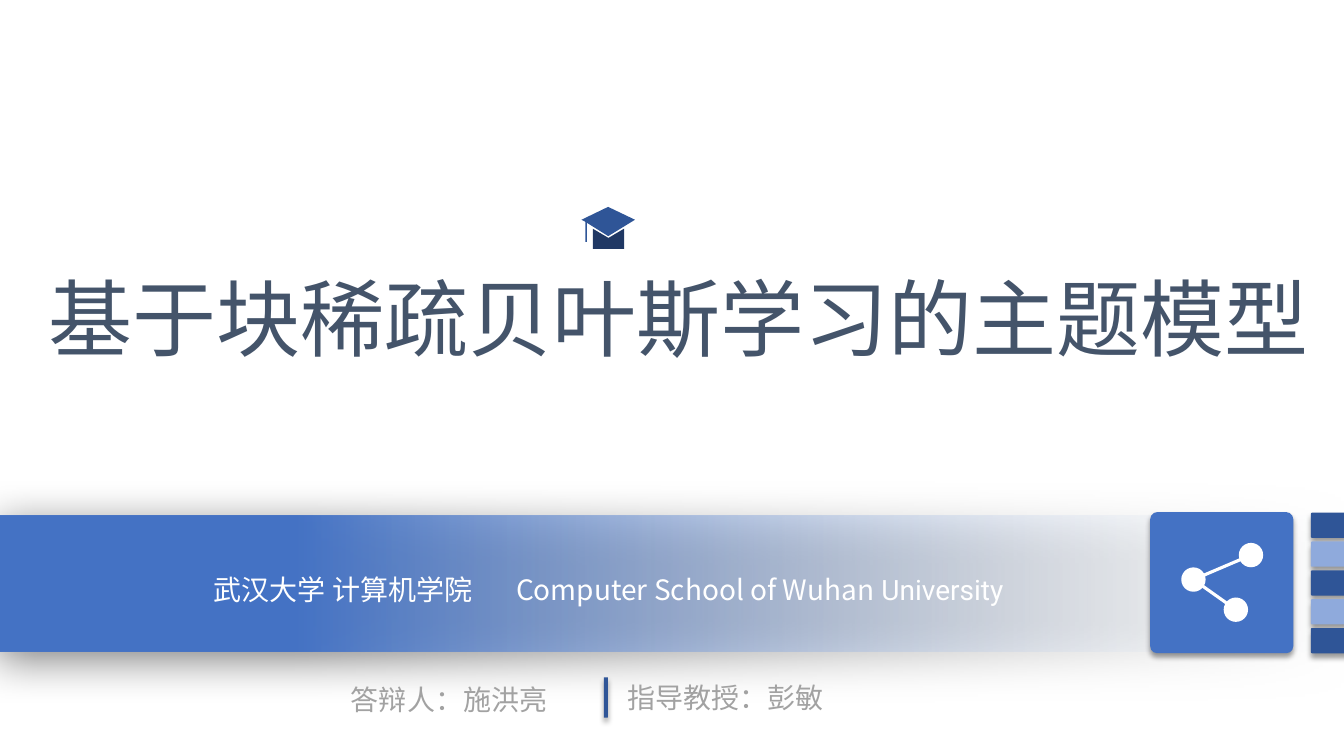
from dataclasses import dataclass

from lxml.etree import SubElement
from pptx import Presentation
from pptx.dml.color import RGBColor
from pptx.enum.shapes import MSO_CONNECTOR, MSO_SHAPE
from pptx.enum.text import MSO_ANCHOR, MSO_AUTO_SIZE, PP_ALIGN
from pptx.oxml.ns import qn
from pptx.util import Pt


@dataclass(frozen=True)
class Theme:
    """Colours, fonts and type sizes of the slide."""
    blue: str = "4472C4"
    dark_blue: str = "2F5597"
    light_blue: str = "8FAADC"
    navy: str = "203864"
    pale: str = "F7FAFD"
    slate: str = "44546A"
    grey: str = "A2A2A2"
    white: str = "FFFFFF"
    black: str = "000000"
    font: str = "Noto Sans CJK SC"
    latin_font: str = "Roboto"
    title_size: int = 60
    text_size: int = 20


THEME = Theme()
SOFT_SHADOW = {"alpha": 40, "blur": 4, "distance": 3, "angle": 90}
WIDE_SHADOW = {"alpha": 50, "blur": 31, "distance": 6, "angle": 97}


def set_attributes(target, values):
    """Set each named attribute of the target."""
    for name, value in values.items():
        setattr(target, name, value)


def place(shape, left, top, width, height):
    """Move and size a shape in points."""
    set_attributes(shape, {"left": Pt(left), "top": Pt(top),
                           "width": Pt(width), "height": Pt(height)})


def paint(shape, color):
    """Give a shape a plain fill without line or shadow."""
    shape.fill.solid()
    shape.fill.fore_color.rgb = RGBColor.from_string(color)
    shape.line.fill.background()
    shape.shadow.inherit = False


def add_shadow(shape, alpha, blur, distance, angle):
    """Add a black outer shadow to a shape."""
    effects = shape.element.spPr.find(qn("a:effectLst"))
    shadow = SubElement(effects, qn("a:outerShdw"), blurRad=str(Pt(blur)),
                        dist=str(Pt(distance)), dir=str(angle * 60000),
                        algn="t", rotWithShape="0")
    color = SubElement(shadow, qn("a:srgbClr"), val=THEME.black)
    SubElement(color, qn("a:alpha"), val=str(alpha * 1000))


def add_preset(slide, kind, box, color, shadow=None):
    """Add a filled preset shape."""
    shape = slide.shapes.add_shape(kind, *map(Pt, box))
    paint(shape, color)
    if kind == MSO_SHAPE.ROUNDED_RECTANGLE:
        shape.adjustments[0] = 0.05
    if shadow:
        add_shadow(shape, **shadow)
    return shape


def add_outline(slide, points, color):
    """Add a filled polygon through points given in points."""
    corners = [(Pt(x), Pt(y)) for x, y in points]
    builder = slide.shapes.build_freeform(*corners[0], scale=1.0)
    builder.add_line_segments(corners[1:], close=True)
    paint(builder.convert_to_shape(), color)


def write(shape, runs, size, color, align=PP_ALIGN.LEFT, wrap=False, tab=None):
    """Write one paragraph of (text, font) runs into a shape."""
    set_attributes(shape.text_frame, {
        "word_wrap": wrap, "auto_size": MSO_AUTO_SIZE.SHAPE_TO_FIT_TEXT,
        "vertical_anchor": MSO_ANCHOR.TOP})
    paragraph = shape.text_frame.paragraphs[0]
    set_attributes(paragraph, {"alignment": align, "line_spacing": 1.0,
                               "space_before": Pt(0)})
    if tab:
        stops = SubElement(paragraph.line_spacing and shape.element.find(
            ".//" + qn("a:pPr")), qn("a:tabLst"))
        SubElement(stops, qn("a:tab"), pos=str(Pt(tab)), algn="l")
    for text, font in runs:
        run = paragraph.add_run()
        run.text = text
        set_attributes(run.font, {"name": font, "size": Pt(size)})
        run.font.color.rgb = RGBColor.from_string(color)
    for properties in shape.element.iter(qn("a:rPr")):
        SubElement(properties, qn("a:ea"), typeface=THEME.font)


def add_label(slide, text, box):
    """Add a right-aligned grey label."""
    label = slide.shapes.add_textbox(*map(Pt, box))
    write(label, [(text, THEME.font)], THEME.text_size, THEME.grey, PP_ALIGN.RIGHT)


def add_band(slide):
    """Add the band that fades out to the right."""
    band = add_preset(slide, MSO_SHAPE.RECTANGLE, (-0.7, 367.9, 960, 97.2),
                      THEME.blue, WIDE_SHADOW)
    band.fill.gradient()
    band.fill.gradient_angle = 180
    for stop, color, position in zip(band.fill.gradient_stops,
                                     (THEME.pale, THEME.blue), (0, 0.78)):
        stop.color.rgb = RGBColor.from_string(color)
        stop.position = position
    clear_color = band.element.spPr.find(".//" + qn("a:gs")).find(qn("a:srgbClr"))
    SubElement(clear_color, qn("a:alpha"), val="0")
    return band


def add_cap(slide):
    """Add the graduation cap: board with tassel, then base."""
    add_outline(slide, [(434.4, 147.8), (453.6, 157), (434.5, 168.7), (419.3, 159.2),
                        (419.3, 172.8), (418.2, 172.8), (418.2, 158.5),
                        (415.4, 157)], THEME.dark_blue)
    add_outline(slide, [(423.4, 163.4), (434.6, 170), (445.7, 163.4),
                        (445.7, 177.8), (423.4, 177.8)], THEME.navy)


def add_share_icon(slide):
    """Add the rounded tile with three linked dots."""
    add_preset(slide, MSO_SHAPE.ROUNDED_RECTANGLE, (821.6, 365.8, 102.2, 100.8),
               THEME.blue, SOFT_SHADOW)
    hub, *ends = [(852.5, 414), (893.6, 396.5), (882.8, 435.5)]
    for end in ends:
        link = slide.shapes.add_connector(MSO_CONNECTOR.STRAIGHT,
                                          *map(Pt, hub + end))
        link.line.width = Pt(2.25)
        link.line.color.rgb = RGBColor.from_string(THEME.white)
        SubElement(link.element.spPr, qn("a:effectLst"))
    radius = 8.7
    for x, y in (hub, *ends):
        add_preset(slide, MSO_SHAPE.OVAL,
                   (x - radius, y - radius, 2 * radius, 2 * radius), THEME.white)


def main():
    """Build the title slide and save it."""
    presentation = Presentation()
    set_attributes(presentation, {"slide_width": Pt(960), "slide_height": Pt(540)})
    slide = presentation.slides.add_slide(presentation.slide_layouts[0])
    title, school = slide.placeholders

    band = add_band(slide)
    title.element.addprevious(band.element)
    for index in range(5):
        color = THEME.light_blue if index % 2 else THEME.dark_blue
        add_preset(slide, MSO_SHAPE.ROUNDED_RECTANGLE,
                   (936.4, 366.2 + 20.6 * index, 28.8, 18), color, SOFT_SHADOW)
    add_preset(slide, MSO_SHAPE.ROUNDED_RECTANGLE, (431.3, 483.8, 2.9, 28.8),
               THEME.dark_blue, SOFT_SHADOW)
    add_label(slide, "答辩人：施洪亮", (241.9, 483.8, 156.2, 31.7))
    add_label(slide, "指导教授：彭敏", (439.2, 482.4, 156.2, 31.7))

    place(title, 27.4, 186.5, 923, 79.9)
    write(title, [("基于块稀疏贝叶斯学习的主题模型", THEME.font)],
          THEME.title_size, THEME.slate)
    add_cap(slide)
    place(school, 145.4, 405.4, 604.8, 31.7)
    write(school, [("武汉大学 计算机学院\tComputer School of Wuhan", THEME.font),
                   (" University", THEME.latin_font)],
          THEME.text_size, THEME.white, wrap=True, tab=221)
    add_share_icon(slide)
    presentation.save("out.pptx")


if __name__ == "__main__":
    main()
